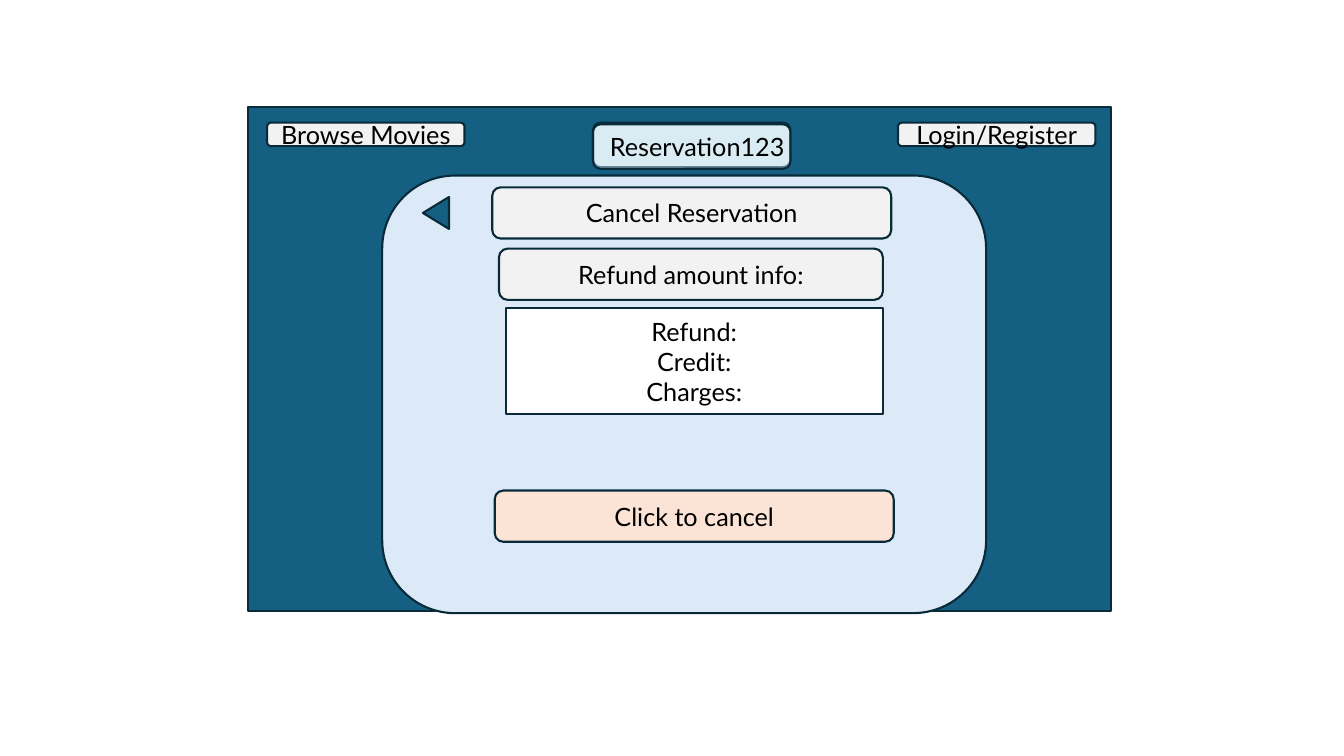
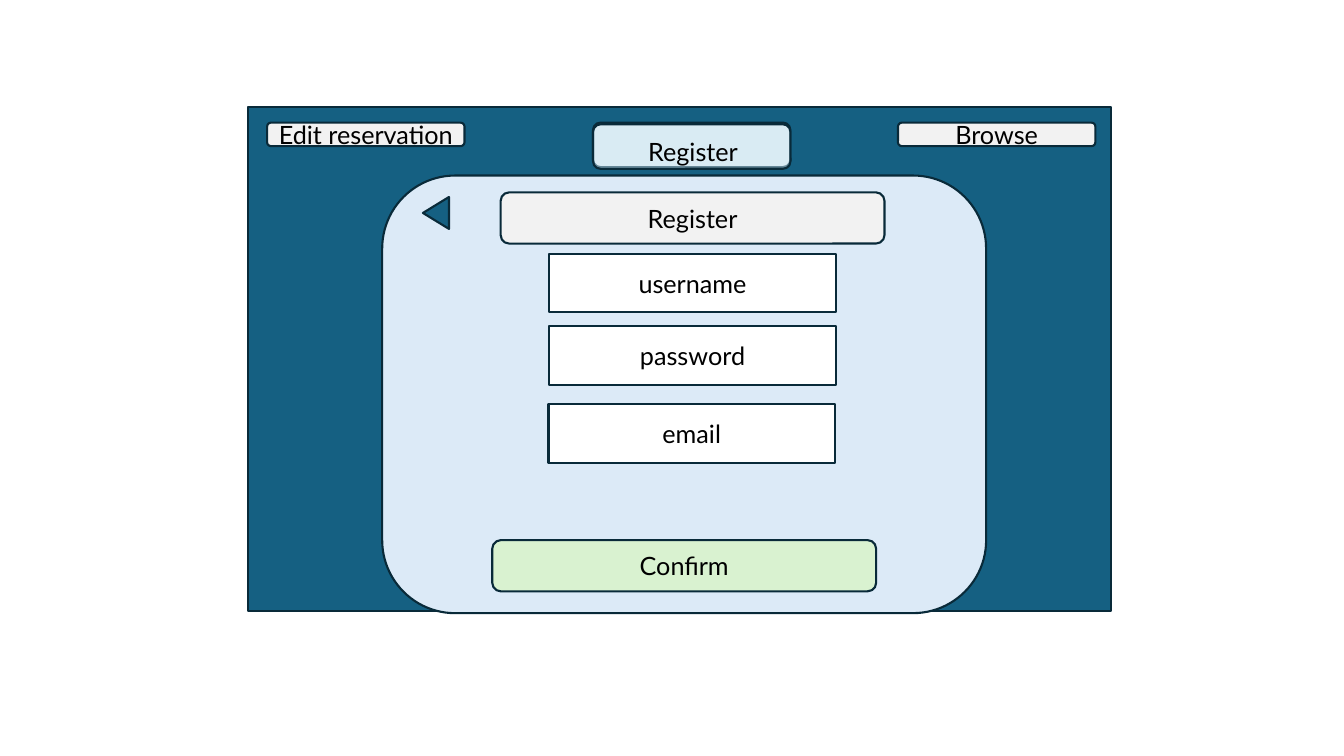
import dataclasses

import lxml.etree
import pptx
import pptx.dml.color
import pptx.enum.shapes
import pptx.enum.text
import pptx.oxml.ns
import pptx.util

SHAPE = pptx.enum.shapes.MSO_SHAPE
ALIGN = pptx.enum.text.PP_ALIGN
ANCHOR = pptx.enum.text.MSO_ANCHOR


@dataclasses.dataclass(frozen=True)
class Theme:
    frame: str = "156082"
    panel: str = "DCEAF7"
    button: str = "F2F2F2"
    tint: str = "C1E5F5"
    field: str = "FFFFFF"
    danger: str = "FBE3D6"
    success: str = "D9F2D0"
    outline: str = "092A39"
    text: str = "000000"
    font: str = "Lato"
    text_size: int = 18
    line_width: float = 1.5
    tint_alpha: int = 50


class Wireframe:
    """Draws screens on a grid of 160 columns by 90 rows."""

    columns, rows = 160, 90
    button_height = 6.1
    wide, narrow = 47.5, 45.7
    field_size = (34.1, 7)

    def __init__(self, theme):
        self.theme = theme
        self.deck = pptx.Presentation()
        self.deck.slide_width = pptx.util.Inches(13.33)
        self.deck.slide_height = pptx.util.Inches(7.5)
        self.page = None

    def place(self, left, top, width, height):
        column = self.deck.slide_width / self.columns
        row = self.deck.slide_height / self.rows
        return [round(left * column), round(top * row),
                round(width * column), round(height * row)]

    def label(self, box, lines, anchor):
        frame = box.text_frame
        frame.word_wrap = True
        frame.vertical_anchor = anchor
        frame.text = "\n".join(lines)
        style = {"name": self.theme.font,
                 "size": pptx.util.Pt(self.theme.text_size)}
        for para in frame.paragraphs:
            para.alignment = ALIGN.CENTER
            for span in para.runs:
                for key, value in style.items():
                    setattr(span.font, key, value)
                span.font.color.rgb = pptx.dml.color.RGBColor.from_string(self.theme.text)

    def shape(self, kind, area, fill, lines=(), parent=None, alpha=None):
        shapes = (parent or self.page).shapes
        box = shapes.add_shape(kind, *self.place(*area))
        box.shadow.inherit = False
        box.fill.solid()
        box.fill.fore_color.rgb = pptx.dml.color.RGBColor.from_string(fill)
        box.line.color.rgb = pptx.dml.color.RGBColor.from_string(self.theme.outline)
        box.line.width = pptx.util.Pt(self.theme.line_width)
        if alpha is not None:
            name = pptx.oxml.ns.qn
            colour = box.element.spPr.find(name("a:solidFill")).find(name("a:srgbClr"))
            lxml.etree.SubElement(colour, name("a:alpha"), val=str(alpha * 1000))
        if lines:
            self.label(box, lines, ANCHOR.MIDDLE)
        return box

    def button(self, left, top, width, text, fill=None):
        self.shape(SHAPE.ROUNDED_RECTANGLE, (left, top, width, self.button_height),
                   fill or self.theme.button, [text])

    def field(self, left, top, lines, size=None):
        self.shape(SHAPE.RECTANGLE, (left, top, *(size or self.field_size)),
                   self.theme.field, lines)

    def title(self, text, left, top):
        # Two stacked plates, the upper one tinted, with the text above them
        plates = self.page.shapes.add_group_shape()
        for plate_top, fill, alpha in ((14.6, self.theme.button, None),
                                       (14.8, self.theme.tint, self.theme.tint_alpha)):
            self.shape(SHAPE.ROUNDED_RECTANGLE, (70.6, plate_top, 23.5, 5.3), fill,
                       parent=plates, alpha=alpha)
        box = self.page.shapes.add_textbox(*self.place(left, top, 24.8, 4.8))
        self.label(box, [text], ANCHOR.TOP)

    def back_arrow(self):
        arrow = self.shape(SHAPE.ISOSCELES_TRIANGLE, (50, 23.8, 3.8, 3.1), self.theme.frame)
        arrow.rotation = 270

    def screen(self, left_link, right_link, title, title_left, title_top):
        self.page = self.deck.slides.add_slide(self.deck.slide_layouts[6])
        self.shape(SHAPE.RECTANGLE, (29.5, 12.7, 102.8, 60), self.theme.frame)
        self.shape(SHAPE.ROUNDED_RECTANGLE, (45.5, 20.9, 71.9, 52.1), self.theme.panel)
        for left, text in ((31.8, left_link), (106.9, right_link)):
            self.shape(SHAPE.ROUNDED_RECTANGLE, (left, 14.6, 23.5, 2.8),
                       self.theme.button, [text])
        self.title(title, title_left, title_top)
        self.back_arrow()


def main():
    theme = Theme()
    wireframe = Wireframe(theme)

    # Cancel a reservation
    wireframe.screen("Browse Movies", "Login/Register", "Reservation123", 70.6, 15.1)
    wireframe.button(58.6, 22.3, wireframe.wide, "Cancel Reservation")
    wireframe.button(59.4, 29.6, wireframe.narrow, "Refund amount info:")
    wireframe.field(60.2, 36.7, ["Refund:", "Credit:", "Charges:"], (44.9, 12.6))
    wireframe.button(58.9, 58.4, wireframe.wide, "Click to cancel", theme.danger)

    # Register an account
    wireframe.screen("Edit reservation", "Browse", "Register", 70.1, 15.6)
    wireframe.button(59.6, 22.9, wireframe.narrow, "Register")
    for left, top, text in ((65.4, 30.2, "username"), (65.4, 38.8, "password"),
                            (65.3, 48.1, "email")):
        wireframe.field(left, top, [text])
    wireframe.button(58.6, 64.3, wireframe.narrow, "Confirm", theme.success)

    wireframe.deck.save("out.pptx")


if __name__ == "__main__":
    main()
